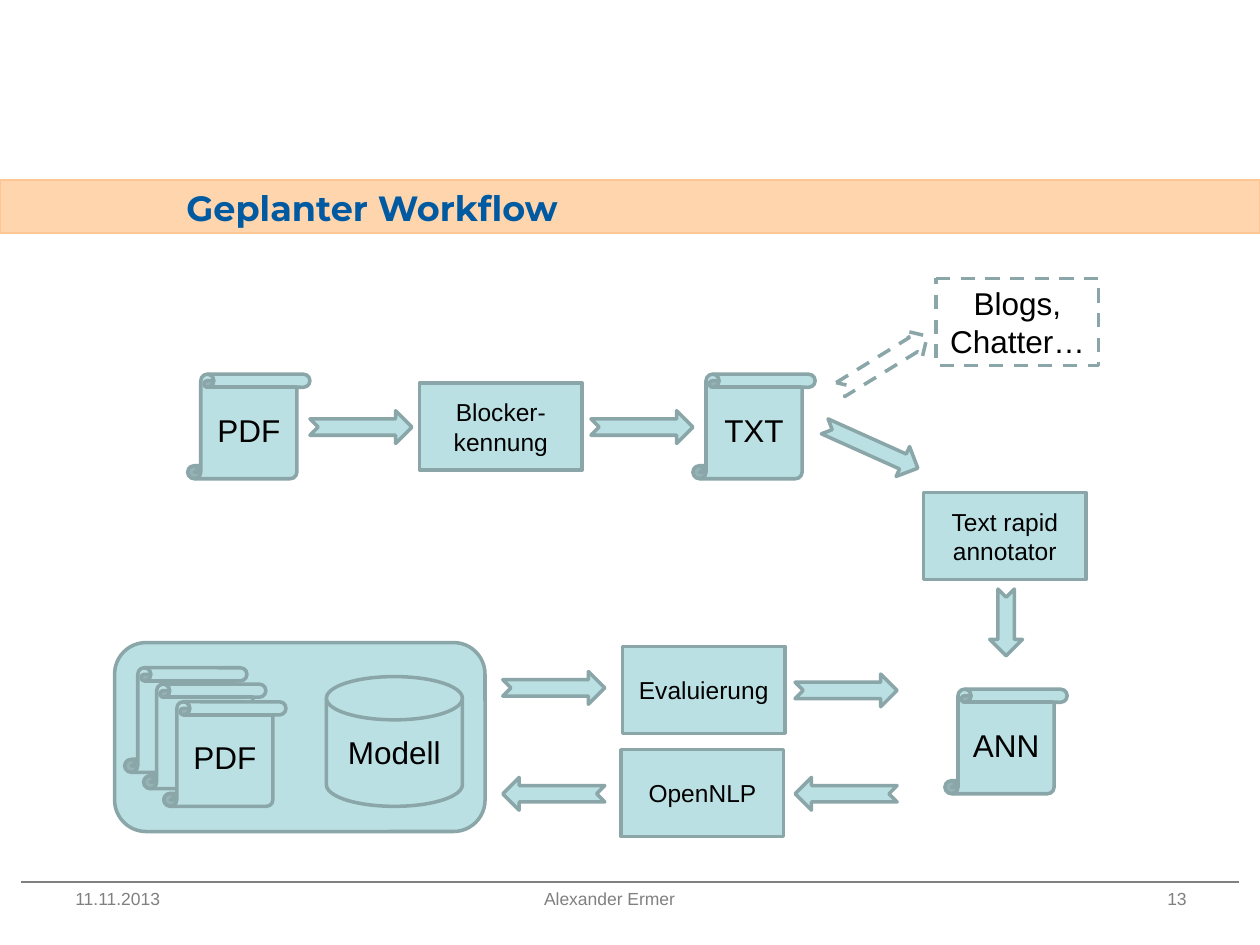
from lxml import etree
from pptx import Presentation
from pptx.dml.color import RGBColor
from pptx.enum import dml, shapes, text
from pptx.oxml.ns import qn
from pptx.util import Inches, Pt

COLORS = {
    "band": "FFD5AD", "band_line": "FFC695", "title": "005AA1", "gray": "808080",
    "teal": "BBE0E3", "outline": "8AA6A8", "white": "FFFFFF", "black": "000000",
}
KIND = shapes.MSO_SHAPE
SCROLL, BOX, ARROW = KIND.VERTICAL_SCROLL, KIND.FLOWCHART_PROCESS, KIND.NOTCHED_RIGHT_ARROW
SIZES = {SCROLL: (0.97, 0.83), BOX: (1.29, 0.69), ARROW: (0.81, 0.26)}


def write(shape, words, size, color, font="Arial", bold=False, align=text.PP_ALIGN.CENTER):
    frame = shape.text_frame
    frame.word_wrap = True
    paragraph = frame.paragraphs[0]
    paragraph.alignment = align
    run = paragraph.add_run()
    run.text = words
    for name, value in {"name": font, "size": Pt(size), "bold": bold}.items():
        setattr(run.font, name, value)
    run.font.color.rgb = RGBColor.from_string(COLORS[color])
    return paragraph


def draw(parent, kind, left, top, size=None, words="", points=18, rotation=0,
         fill="teal", line="outline", weight=2, dashed=False):
    width, height = size or SIZES[kind]
    shape = parent.add_shape(kind, *(Inches(n) for n in (left, top, width, height)))
    shape.shadow.inherit = False
    shape.rotation = rotation
    shape.fill.solid()
    shape.fill.fore_color.rgb = RGBColor.from_string(COLORS[fill])
    shape.line.color.rgb = RGBColor.from_string(COLORS[line])
    shape.line.width = Pt(weight)
    if dashed:
        shape.line.dash_style = dml.MSO_LINE.DASH
    if words:
        shape.text_frame.vertical_anchor = text.MSO_ANCHOR.MIDDLE
        write(shape, words, points, "black")
    return shape


presentation = Presentation()
presentation.slide_width, presentation.slide_height = Inches(10), Inches(7.5)
slide = presentation.slides.add_slide(presentation.slide_layouts[5])
canvas = slide.shapes

title = canvas.title
title_format = {"left": 1.38, "top": 1.02, "width": 8.2, "height": 1.25}
for name, value in title_format.items():
    setattr(title, name, Inches(value))
title.text_frame.vertical_anchor = text.MSO_ANCHOR.MIDDLE
title.text_frame.auto_size = text.MSO_AUTO_SIZE.NONE
write(title, "Geplanter Workflow", 20, "title", "Montserrat", True, text.PP_ALIGN.LEFT)

band = draw(canvas, KIND.RECTANGLE, 0, 1.43, (10, 0.42), fill="band", line="band_line", weight=1)
title._element.addprevious(band._element)

footer = canvas.add_textbox(Inches(0.5), Inches(7), Inches(9.07), Inches(0.5))
paragraph = write(footer, "11.11.2013\tAlexander Ermer \t13", 10, "gray", align=text.PP_ALIGN.LEFT)
tab_list = etree.SubElement(paragraph._p.get_or_add_pPr(), qn("a:tabLst"))
for position, align in ((3.72, "l"), (8.82, "r")):
    etree.SubElement(tab_list, qn("a:tab"), pos=str(Inches(position)), algn=align)

rule = canvas.add_connector(shapes.MSO_CONNECTOR.STRAIGHT,
                            Inches(0.17), Inches(7), Inches(9.83), Inches(7))
rule.line.color.rgb = RGBColor.from_string(COLORS["gray"])
rule.line.width = Pt(0.75)
etree.SubElement(rule._element.spPr, qn("a:effectLst"))

for words, left, top in (("PDF", 1.49, 2.97), ("TXT", 5.5, 2.97), ("ANN", 7.5, 5.47)):
    draw(canvas, SCROLL, left, top, words=words)

for words, left, top in (("Blocker-kennung", 3.33, 3.04), ("Text rapid annotator", 7.33, 3.91),
                         ("Evaluierung", 4.94, 5.13), ("OpenNLP", 4.93, 5.95)):
    draw(canvas, BOX, left, top, words=words, points=14)

for left, top, rotation in ((2.46, 3.26, 0), (4.69, 3.26, 0), (6.51, 3.42, 24.2),
                            (3.99, 5.33, 0), (6.31, 5.35, 0),
                            (3.99, 6.17, 180), (6.31, 6.17, 180)):
    draw(canvas, ARROW, left, top, rotation=rotation)
draw(canvas, ARROW, 7.72, 4.81, (0.53, 0.26), rotation=90)

draw(canvas, ARROW, 6.61, 2.75, rotation=328.4, fill="white", dashed=True)
draw(canvas, BOX, 7.43, 2.21, words="Blogs, Chatter…", fill="white", dashed=True)

training = canvas.add_group_shape().shapes
draw(training, KIND.ROUNDED_RECTANGLE, 0.91, 5.1, (2.94, 1.5))
draw(training, KIND.FLOWCHART_MAGNETIC_DISK, 2.59, 5.37, (1.08, 1.03), "Modell")
for left, top, words in ((0.99, 5.3, ""), (1.14, 5.43, ""), (1.3, 5.57, "PDF")):
    draw(training, SCROLL, left, top, words=words)

presentation.save("out.pptx")
